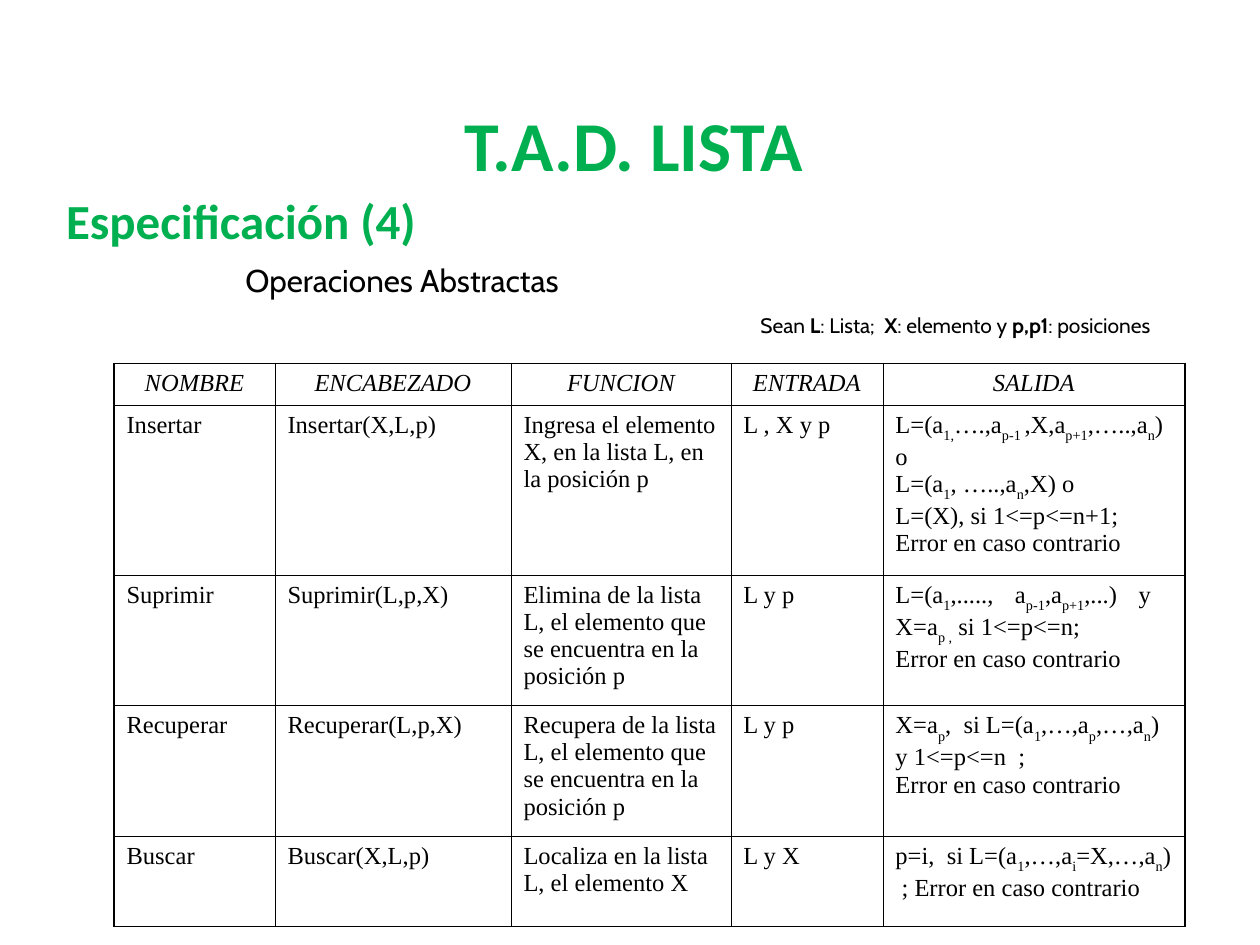
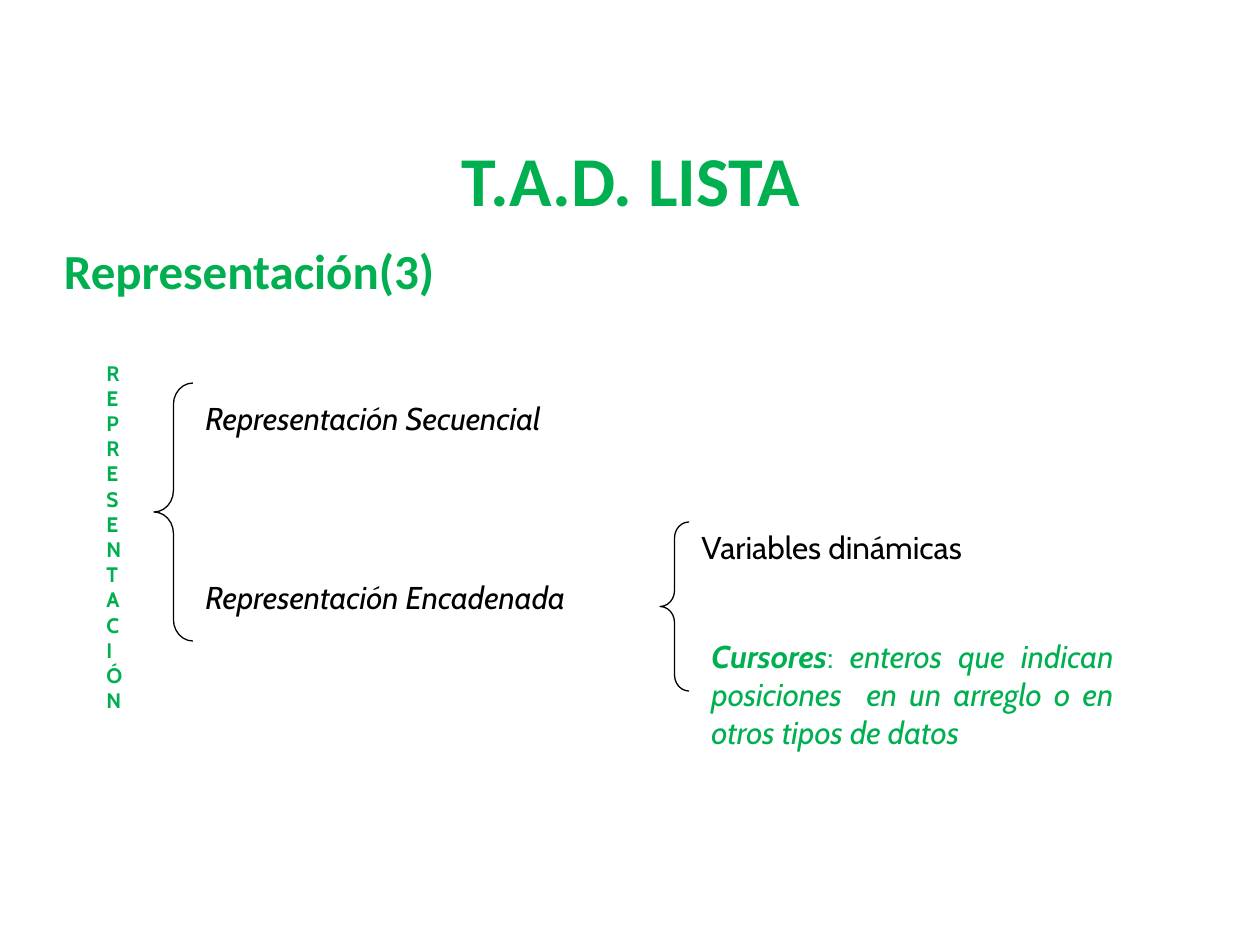
from lxml import etree
from pptx import Presentation
from pptx.dml.color import RGBColor
from pptx.enum.shapes import MSO_SHAPE
from pptx.enum.text import PP_ALIGN
from pptx.oxml.ns import qn
from pptx.util import Emu, Pt

LEFT_BRACE = MSO_SHAPE.LEFT_BRACE
LEFT, CENTER, JUSTIFY = PP_ALIGN.LEFT, PP_ALIGN.CENTER, PP_ALIGN.JUSTIFY

COLORS = {"green": "00B050", "black": "000000"}
HEADING_FONT, BODY_FONT, TABLE_FONT = "Calibri", "Cabin", "Times New Roman"
BLANK_LAYOUT = 6


def px(length):
    """Turn px (126 to the inch) into EMU."""
    return Emu(round(length * 914400 / 126))


def add_run(paragraph, text, font, size, color="black", style=""):
    """Add one run; style holds b for bold, i for italic, s for subscript."""
    run = paragraph.add_run()
    run.text = text
    run.font.name = font
    run.font.size = Pt(size)
    run.font.color.rgb = RGBColor.from_string(COLORS[color])
    run.font.bold = "b" in style
    run.font.italic = "i" in style
    if "s" in style:
        run._r.get_or_add_rPr().set("baseline", "-30000")


presentation = Presentation()
presentation.slide_width, presentation.slide_height = px(1260), px(945)
layout = presentation.slide_layouts[BLANK_LAYOUT]

# Slides with their shared heading: subtitle, left, top, gap above the subtitle
headings = [
    ("Especificación (4)", 54, 102, 5),
    ("Representación(3)", 52, 137, 20),
]
slides = []
for subtitle, left, top, gap in headings:
    slide = presentation.slides.add_slide(layout)
    slides.append(slide)
    frame = slide.shapes.add_textbox(px(left), px(top), px(1138), px(152)).text_frame
    frame.word_wrap = True
    frame.margin_left = frame.margin_right = frame.margin_top = frame.margin_bottom = 0
    lines = [("T.A.D. LISTA", 40, 410, 0), (subtitle, 28, 12, gap)]
    for index, (text, size, indent, space) in enumerate(lines):
        paragraph = frame.add_paragraph() if index else frame.paragraphs[0]
        paragraph.space_before = px(space)
        paragraph._p.get_or_add_pPr().set("marL", str(px(indent)))
        add_run(paragraph, text, HEADING_FONT, size, "green", "b")
specification, representation = slides

# Operations table: underscores enclose subscripts, each text is one paragraph
columns = [161, 236, 220, 152, 302]
row_heights = [42, 170, 130, 130, 90]
operations = [
    [["NOMBRE"], ["ENCABEZADO"], ["FUNCION"], ["ENTRADA"], ["SALIDA"]],
    [["Insertar"], ["Insertar(X,L,p)"],
     ["Ingresa el elemento X, en la lista L, en la posición p"], ["L , X y p"],
     ["L=(a_1,_….,a_p-1 _,X,a_p+1_,…..,a_n_) o",
      "L=(a_1_, …..,a_n_,X) o",
      "L=(X), si 1<=p<=n+1; Error en caso contrario"]],
    [["Suprimir"], ["Suprimir(L,p,X)"],
     ["Elimina de la lista L, el elemento que se encuentra en la posición p"], ["L y p"],
     ["L=(a_1_,....., a_p-1_,a_p+1_,...) y  X=a_p ,_ si 1<=p<=n;",
      "Error en caso contrario"]],
    [["Recuperar"], ["Recuperar(L,p,X)"],
     ["Recupera de la lista L, el elemento que se encuentra en la posición p"], ["L y p"],
     ["X=a_p_,  si L=(a_1_,…,a_p_,…,a_n_) y 1<=p<=n  ;",
      "Error en caso contrario"]],
    [["Buscar"], ["Buscar(X,L,p)"],
     ["Localiza en la lista L, el elemento X"], ["L y X"],
     ["p=i,  si L=(a_1_,…,a_i_=X,…,a_n_)  ; Error en caso contrario"]],
]
table = specification.shapes.add_table(
    len(row_heights), len(columns), px(114), px(363),
    px(sum(columns)), px(sum(row_heights))).table
table.first_row = table.horz_banding = False
for column, width in zip(table.columns, columns):
    column.width = px(width)
for row, height in zip(table.rows, row_heights):
    row.height = px(height)

for row_index, operation in enumerate(operations):
    for column_index, texts in enumerate(operation):
        cell = table.cell(row_index, column_index)
        outer_side = {0: "lnL", len(columns) - 1: "lnR"}.get(column_index)
        properties = cell._tc.get_or_add_tcPr()
        for side in ("lnL", "lnR", "lnT", "lnB"):
            width = Pt(0.96 if side == outer_side else 0.45)
            border = etree.SubElement(properties, qn(f"a:{side}"), w=str(width))
            fill = etree.SubElement(border, qn("a:solidFill"))
            etree.SubElement(fill, qn("a:srgbClr"), val=COLORS["black"])
        cell.fill.background()

        is_header = row_index == 0
        for index, text in enumerate(texts):
            frame = cell.text_frame
            paragraph = frame.add_paragraph() if index else frame.paragraphs[0]
            if is_header:
                paragraph.alignment = CENTER
            elif texts[0].startswith("L=(a_1_,....."):
                paragraph.alignment = JUSTIFY
            for part_index, part in enumerate(text.split("_")):
                if part:
                    style = "i" if is_header else "s" if part_index % 2 else ""
                    add_run(paragraph, part, TABLE_FONT, 14, style=style)

# Body texts: slide, left, top, width, height, size, colour, alignment, runs
body_texts = [
    (specification, 233, 255, 417, 50, 18, "black", LEFT,
     [("Operaciones Abstractas", "")]),
    (specification, 748, 306, 512, 38, 12, "black", LEFT,
     [("Sean ", ""), ("L", "b"), (": Lista;  ", ""), ("X", "b"),
      (": elemento y ", ""), ("p,p1", "b"), (": posiciones", "")]),
    (representation, 193, 393, 476, 50, 18, "black", LEFT,
     [("Representación Secuencial", "i")]),
    (representation, 193, 572, 427, 50, 18, "black", LEFT,
     [("Representación Encadenada", "i")]),
    (representation, 689, 522, 427, 50, 18, "black", LEFT,
     [("Variables dinámicas", "")]),
    (representation, 699, 631, 427, 164, 18, "green", JUSTIFY,
     [("Cursores", "bi"), (": ", ""),
      ("enteros que indican posiciones  en un arreglo o en otros tipos de datos", "i")]),
    (representation, 94, 354, 39, 365, 12, "green", LEFT,
     [("REPRESENTACIÓN", "b")]),
]
for slide, left, top, width, height, size, color, alignment, runs in body_texts:
    frame = slide.shapes.add_textbox(px(left), px(top), px(width), px(height)).text_frame
    frame.word_wrap = True
    paragraph = frame.paragraphs[0]
    paragraph.alignment = alignment
    for text, style in runs:
        add_run(paragraph, text, BODY_FONT, size, color, style)

# Braces that open the two levels of the classification
for left, top, width, height in [(154, 383, 39, 258), (660, 522, 29, 169)]:
    brace = representation.shapes.add_shape(
        LEFT_BRACE, px(left), px(top), px(width), px(height))
    brace.adjustments[0] = 0.55
    brace.shadow.inherit = False
    brace.fill.background()
    brace.line.color.rgb = RGBColor.from_string(COLORS["black"])
    brace.line.width = Pt(0.75)

presentation.save("out.pptx")
